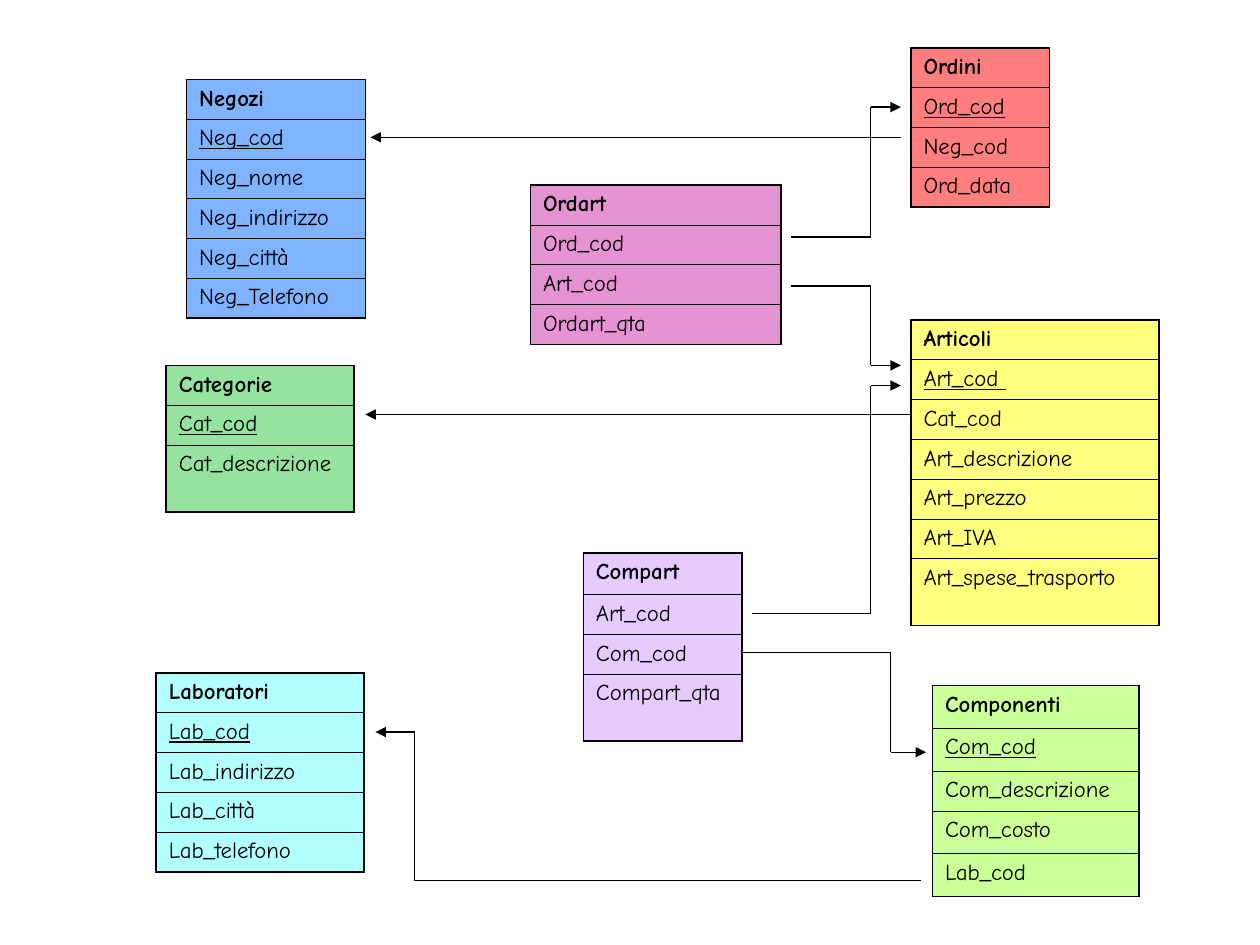
from lxml import etree
from pptx import Presentation
from pptx.dml.color import RGBColor
from pptx.enum.shapes import MSO_CONNECTOR
from pptx.oxml.ns import qn
from pptx.util import Inches, Pt

STRAIGHT = MSO_CONNECTOR.STRAIGHT
FONT = "Comic Neue"
ROW = Inches(1.58) // 5
THICK, THIN = Pt(1.08), Pt(0.45)
COLORS = {
    "line": "000000",
    "Categorie": "2FC741",
    "Articoli": "FFFF00",
    "Componenti": "99FF33",
    "Laboratori": "66FFFF",
    "Ordini": "FF0000",
    "Negozi": "0066FF",
    "Compart": "CC99FF",
    "Ordart": "CE28AA",
}

# Name: left, top, width, fields, key field is underlined, odd row heights
ENTITIES = {
    "Categorie": (1.32, 2.9, 1.49, ["Cat_cod", "Cat_descrizione"], True, {2: 0.53}),
    "Articoli": (7.23, 2.54, 1.97,
                 ["Art_cod ", "Cat_cod", "Art_descrizione", "Art_prezzo", "Art_IVA",
                  "Art_spese_trasporto"], True, {6: 0.53}),
    "Componenti": (7.4, 5.44, 1.64,
                   ["Com_cod", "Com_descrizione", "Com_costo", "Lab_cod"], True,
                   {0: 0.34, 1: 0.34, 3: 0.34, 4: 0.34}),
    "Laboratori": (1.24, 5.34, 1.65,
                   ["Lab_cod", "Lab_indirizzo", "Lab_città", "Lab_telefono"], True, {}),
    "Ordini": (7.23, 0.38, 1.1, ["Ord_cod", "Neg_cod", "Ord_data"], True, {}),
    "Negozi": (1.48, 0.63, 1.42,
               ["Neg_cod", "Neg_nome", "Neg_indirizzo", "Neg_città", "Neg_Telefono"],
               True, {}),
    "Compart": (4.63, 4.39, 1.26, ["Art_cod", "Com_cod", "Compart_qta"], False,
                {0: 0.33, 3: 0.53}),
    "Ordart": (4.21, 1.47, 1.99, ["Ord_cod", "Art_cod", "Ordart_qta"], False, {}),
}

# Each link runs through its points and ends in an arrowhead
LINKS = [
    [(7.23, 3.29), (2.9, 3.29)],
    [(7.31, 6.99), (3.29, 6.99), (3.29, 5.81), (2.98, 5.81)],
    [(5.89, 5.18), (7.07, 5.18), (7.07, 5.97), (7.35, 5.97)],
    [(5.97, 4.87), (6.91, 4.87), (6.91, 3.06), (7.15, 3.06)],
    [(6.28, 1.88), (6.91, 1.88), (6.91, 0.85), (7.15, 0.85)],
    [(6.28, 2.27), (6.91, 2.27), (6.91, 2.9), (7.15, 2.9)],
    [(7.15, 1.09), (2.94, 1.09)],
]


def style_cell(cell, color, top, bottom):
    """Half-transparent fill and a border on all four sides."""
    cell.fill.solid()
    cell.fill.fore_color.rgb = RGBColor.from_string(color)
    tc_pr = cell._tc.get_or_add_tcPr()
    clr = tc_pr.find(qn("a:solidFill")).find(qn("a:srgbClr"))
    etree.SubElement(clr, qn("a:alpha"), val="50000")
    sides = {"a:lnL": THICK, "a:lnR": THICK, "a:lnT": top, "a:lnB": bottom}
    for i, (tag, width) in enumerate(sides.items()):
        ln = etree.Element(qn(tag), w=str(int(width)))
        fill = etree.SubElement(ln, qn("a:solidFill"))
        etree.SubElement(fill, qn("a:srgbClr"), val=COLORS["line"])
        tc_pr.insert(i, ln)


def add_entity(slide, name, left, top, width, fields, has_key, heights):
    texts = [name] + fields
    last = len(texts) - 1
    rows = [Inches(heights[i]) if i in heights else ROW for i in range(len(texts))]
    table = slide.shapes.add_table(len(texts), 1, Inches(left), Inches(top),
                                   Inches(width), sum(rows)).table
    table.first_row = table.horz_banding = False
    for i, text in enumerate(texts):
        table.rows[i].height = rows[i]
        cell = table.cell(i, 0)
        style_cell(cell, COLORS[name], THICK if i == 0 else THIN,
                   THICK if i == last else THIN)
        p = cell.text_frame.paragraphs[0]
        p.text = text
        p.font.name = FONT
        p.font.size = Pt(13)
        p.font.bold = i == 0
        p.font.underline = has_key and i == 1
        p.font.color.rgb = RGBColor.from_string(COLORS["line"])


def add_link(slide, points):
    for start, end in zip(points, points[1:]):
        x1, y1, x2, y2 = (Inches(v) for v in start + end)
        sp = slide.shapes.add_connector(STRAIGHT, x1, y1, x2, y2)
        sp.line.color.rgb = RGBColor.from_string(COLORS["line"])
        sp.line.width = Pt(0.75)
        etree.SubElement(sp._element.spPr, qn("a:effectLst"))
    etree.SubElement(sp.line._get_or_add_ln(), qn("a:tailEnd"), type="triangle")


def main():
    prs = Presentation()
    prs.slide_width, prs.slide_height = Inches(10), Inches(7.5)
    slide = prs.slides.add_slide(prs.slide_layouts[6])
    # Entity tables
    for name, entity in ENTITIES.items():
        add_entity(slide, name, *entity)
    # Foreign key links
    for points in LINKS:
        add_link(slide, points)
    prs.save("out.pptx")


if __name__ == "__main__":
    main()
